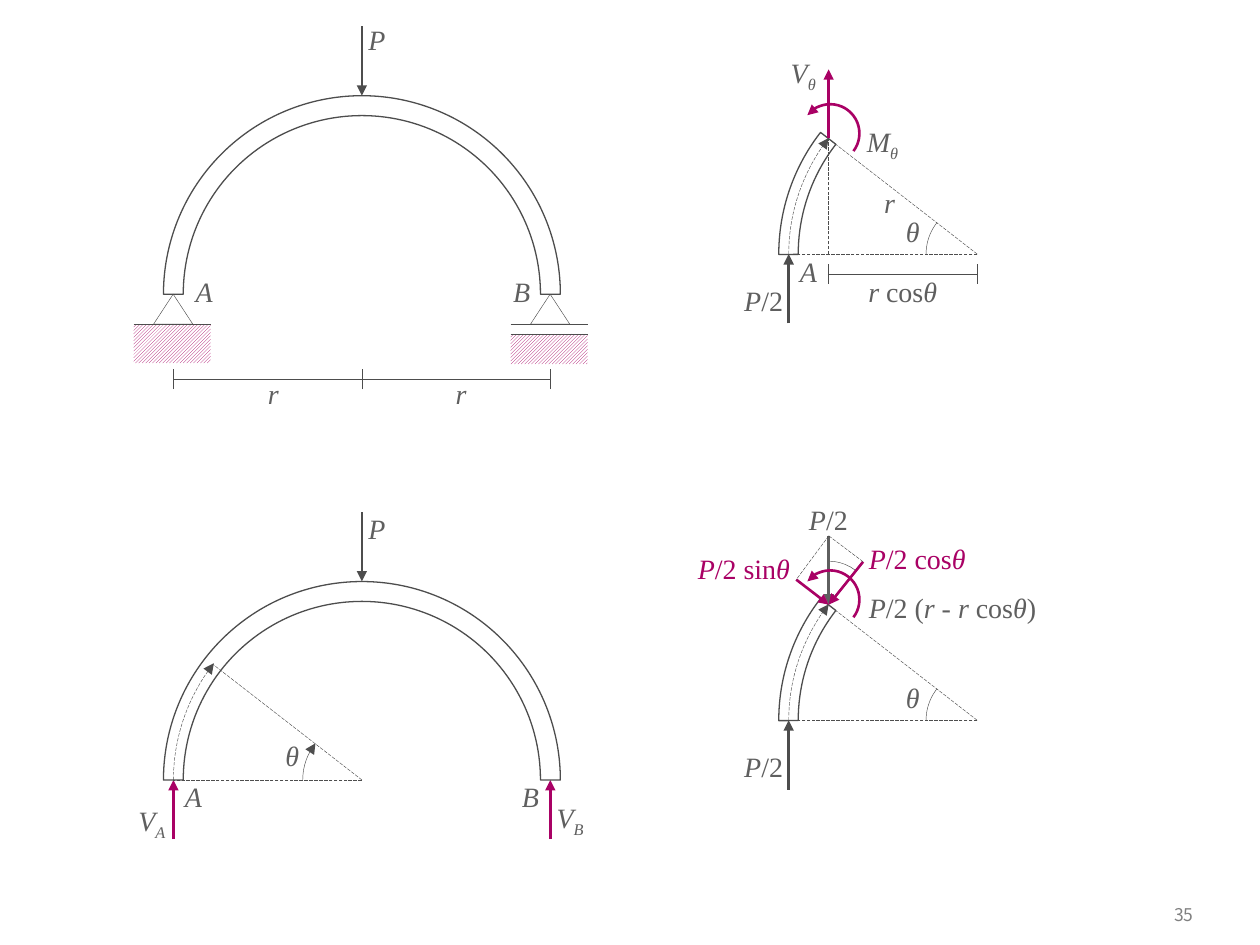
import dataclasses

import pptx
import pptx.dml.color
import pptx.enum.dml
import pptx.enum.shapes
import pptx.enum.text
import pptx.oxml.ns
import pptx.oxml.xmlchemy
import pptx.util

Pt = pptx.util.Pt
SHAPE = pptx.enum.shapes.MSO_SHAPE
ALIGN = pptx.enum.text.PP_ALIGN
ANCHOR = pptx.enum.text.MSO_ANCHOR


@dataclasses.dataclass(frozen=True)
class Theme:
    ink: str = "4D4D4D"
    label: str = "5F5F5F"
    accent: str = "A90165"
    page: str = "FFFFFF"
    number: str = "808080"
    math_font: str = "Times New Roman"
    number_font: str = "Noto Sans CJK KR"
    math_size: float = 16
    number_size: float = 10
    hairline: float = 0.25
    outline: float = 0.75
    force: float = 1.5


def color(value):
    return pptx.dml.color.RGBColor.from_string(value)


def apply(target, values):
    for name, value in values.items():
        setattr(target, name, value)


def add_element(parent, tag, **attributes):
    element = parent.makeelement(pptx.oxml.ns.qn(tag), attributes)
    parent.append(element)


class Drawing:
    RADIUS = 107.7      # centre line of the arch
    OUTER = 113.4
    TIP = (-85.3, -66.2)    # cut section, seen from the arch centre

    def __init__(self, slide, theme):
        self.slide = slide
        self.theme = theme
        self.canvas = slide.shapes

    def start_group(self):
        self.canvas = self.slide.shapes.add_group_shape().shapes

    def stroke(self, line, width, stroke_color=None, dashed=False, arrow=False):
        line.color.rgb = color(stroke_color or self.theme.ink)
        line.width = Pt(width)
        if dashed:
            line.dash_style = pptx.enum.dml.MSO_LINE.LONG_DASH
        if arrow:
            add_element(line._get_or_add_ln(), "a:tailEnd", type="triangle")

    def line(self, start, end, width=Theme.hairline, **style):
        connector = self.canvas.add_connector(
            pptx.enum.shapes.MSO_CONNECTOR.STRAIGHT, *map(Pt, (*start, *end)))
        self.stroke(connector.line, width, **style)
        add_element(connector._element.spPr, "a:effectLst")

    def force(self, start, end, stroke_color=None):
        self.line(start, end, self.theme.force, stroke_color=stroke_color, arrow=True)

    def shape(self, kind, x, y, width, height):
        shape = self.canvas.add_shape(kind, *map(Pt, (x, y, width, height)))
        shape.shadow.inherit = False
        shape.fill.background()
        return shape

    def arc(self, center, radius, start, end, rotation=0, thickness=None,
            flipped=False, width=Theme.hairline, **style):
        """Arc between two angles in degrees; a thickness makes it a band."""
        kind = SHAPE.ARC if thickness is None else SHAPE.BLOCK_ARC
        shape = self.shape(kind, center[0] - radius, center[1] - radius,
                           2 * radius, 2 * radius)
        shape.adjustments[0] = start * 0.6
        shape.adjustments[1] = end * 0.6
        if thickness is not None:
            shape.adjustments[2] = thickness
        shape.rotation = rotation
        if flipped:
            shape._element.spPr.find(pptx.oxml.ns.qn("a:xfrm")).set("flipH", "1")
        self.stroke(shape.line, width, **style)

    def text_box(self, x, y, width, height, align, frame_format):
        frame = self.canvas.add_textbox(*map(Pt, (x, y, width, height))).text_frame
        apply(frame, {"word_wrap": True, **frame_format})
        frame.paragraphs[0].alignment = align
        return frame.paragraphs[0]

    def run(self, paragraph, text, size, font, text_color, italic=False):
        run = paragraph.add_run()
        run.text = text
        apply(run.font, {"size": Pt(size), "name": font, "italic": italic})
        run.font.color.rgb = color(text_color)
        return run

    def label(self, text, x, y, width, subscript="", text_color=None):
        """Math label; parts between bars are italic and upright in turn."""
        margins = dict.fromkeys(
            ("margin_left", "margin_top", "margin_right", "margin_bottom"), 0)
        paragraph = self.text_box(x, y, width, 22, ALIGN.CENTER, margins)
        style = (self.theme.math_size, self.theme.math_font,
                 text_color or self.theme.label)
        for index, part in enumerate(text.split("|")):
            self.run(paragraph, part, *style, italic=index % 2 == 0)
        if subscript:
            run = self.run(paragraph, subscript, *style, italic=True)
            run._r.get_or_add_rPr().set("baseline", "-25000")

    def page_number(self, text):
        paragraph = self.text_box(638, 510.5, 51, 23.8, ALIGN.RIGHT,
                                  {"vertical_anchor": ANCHOR.MIDDLE})
        self.run(paragraph, text, self.theme.number_size,
                 self.theme.number_font, self.theme.number)

    def dimension(self, left, right, y):
        self.line((left, y), (right, y))
        for x in (left, right):
            self.line((x, y + 5.6), (x, y - 5.6))

    def support(self, x, y, gap=0):
        """Pinned support; a gap turns it into a roller."""
        ground = y + 17.1
        hatch = self.shape(SHAPE.RECTANGLE, x - 22.7, ground + gap, 44, 22.3 - gap * 0.9)
        hatch.fill.patterned()
        hatch.fill.pattern = pptx.enum.dml.MSO_PATTERN.LIGHT_UPWARD_DIAGONAL
        hatch.fill.fore_color.rgb = color(self.theme.accent)
        hatch.fill.back_color.rgb = color(self.theme.page)
        hatch.line.fill.background()
        for level in sorted({ground, ground + gap}):
            self.line((x - 22.7, level), (x + 21.3, level))
        triangle = self.shape(SHAPE.ISOSCELES_TRIANGLE, x - 11.3, y, 22.4, 17.1)
        self.stroke(triangle.line, self.theme.hairline)

    def loaded_arch(self, center):
        x, y = center
        self.arc(center, self.OUTER, 180, 0, thickness=0.05, width=self.theme.outline)
        self.force((x, y - 153), (x, y - self.OUTER))

    def sector(self, center):
        x, y = center
        self.line(center, (x - self.RADIUS, y), dashed=True)
        self.line(center, (x + self.TIP[0], y + self.TIP[1]), dashed=True)

    def cut_segment(self, center):
        x, y = center
        self.arc(center, self.OUTER, 269.92, 307.85, 270, 0.049,
                 width=self.theme.outline)
        self.sector(center)
        self.label("P|/2", x - 136, y + 16.8, 28)
        self.force((x - self.RADIUS, y + 39.6), (x - self.RADIUS, y))
        self.arc(center, 29.2, 270, 308.28, 270)
        self.arc(center, self.RADIUS, 270, 307.99, 270, dashed=True, arrow=True)
        self.label("θ", x - 45.3, y - 22.8, 17)

    def moment(self, center):
        self.arc((center[0] - 84, center[1] - 69), 16.7, 270.62, 89.38, 127.9,
                 flipped=True, width=self.theme.force,
                 stroke_color=self.theme.accent, arrow=True)


def main():
    presentation = pptx.Presentation()
    apply(presentation, {"slide_width": Pt(720), "slide_height": Pt(540)})
    theme = Theme()
    slide = presentation.slides.add_slide(presentation.slide_layouts[6])
    drawing = Drawing(slide, theme)
    drawing.page_number("35")
    middle, right_middle = 206.8, 558.4
    left_end, right_end = middle - drawing.RADIUS, middle + drawing.RADIUS

    drawing.start_group()  # arch on its supports
    base = 168.1
    drawing.support(right_end, base, gap=5.7)
    drawing.support(left_end, base)
    drawing.loaded_arch((middle, base))
    drawing.dimension(left_end, middle, 216.7)
    drawing.dimension(middle, right_end, 216.7)
    for text, x, y, width in (("r", 144.7, 215.3, 23), ("r", 252, 215.3, 23),
                              ("P", middle, 13, 17.3),
                              ("A", 105.1, 157, 23), ("B", 286.6, 157, 23)):
        drawing.label(text, x, y, width)

    drawing.start_group()  # free body of the arch
    base = 445.7
    for x in (left_end, right_end):
        drawing.force((x, base + 33.8), (x, base), theme.accent)
    drawing.sector((middle, base))
    drawing.arc((middle, base), 33.8, 270, 308.28, 270, arrow=True)
    drawing.arc((middle, base), drawing.RADIUS, 179.89, 218.23, dashed=True, arrow=True)
    drawing.loaded_arch((middle, base))
    for text, x, y, width, subscript in (
            ("V", 74.9, 459.4, 23.8, "A"), ("V", 314.6, 457.2, 22.3, "B"),
            ("θ", 155.5, 421.9, 23, ""), ("P", middle, 292.3, 17.3, ""),
            ("A", 99.4, base, 22.3, ""), ("B", 291.6, base, 23, "")):
        drawing.label(text, x, y, width, subscript)

    drawing.start_group()  # section forces
    center = (right_middle, 145.2)
    tip_x, tip_y = center[0] + drawing.TIP[0], center[1] + drawing.TIP[1]
    drawing.cut_segment(center)
    drawing.line((tip_x, center[1]), (tip_x, tip_y), dashed=True)
    drawing.force((473.5, tip_y), (473.5, 39.6), theme.accent)
    drawing.moment(center)
    drawing.dimension(tip_x, right_middle, 156.7)
    for text, x, y, width, subscript in (
            ("r |cos|θ", 490.3, 157, 51, ""), ("V", 445, 31.7, 28, "θ"),
            ("M", 490.3, 71.3, 28, "θ"), ("r", 499.7, 105.8, 17.3, ""),
            ("A", 450.7, 145.4, 22.3, "")):
        drawing.label(text, x, y, width, subscript)

    drawing.start_group()  # resolved reaction
    center = (right_middle, 411.6)
    tip, top = (473.6, 345.5), (473.6, 306.2)
    cosine, sine = (493.2, 321), (455, 331.2)
    drawing.cut_segment(center)
    drawing.force(top, tip, theme.label)
    for component in (cosine, sine):
        drawing.force(component, tip, theme.accent)
        drawing.line(top, component, dashed=True)
    drawing.arc(tip, 24.8, 234, 269.9, 37.5)
    drawing.moment(center)
    for text, x, y, width, text_color in (
            ("P|/2 sin|θ", 393.8, 315.4, 62.6, theme.accent),
            ("P|/2 cos|θ", 490.3, 309.6, 67.7, theme.accent),
            ("P|/2", 456.5, 287.3, 33.8, theme.label),
            ("P|/2 (|r| - |r| cos|θ|)", 490.3, 337.7, 108, theme.label)):
        drawing.label(text, x, y, width, text_color=text_color)

    presentation.save("out.pptx")


if __name__ == "__main__":
    main()
